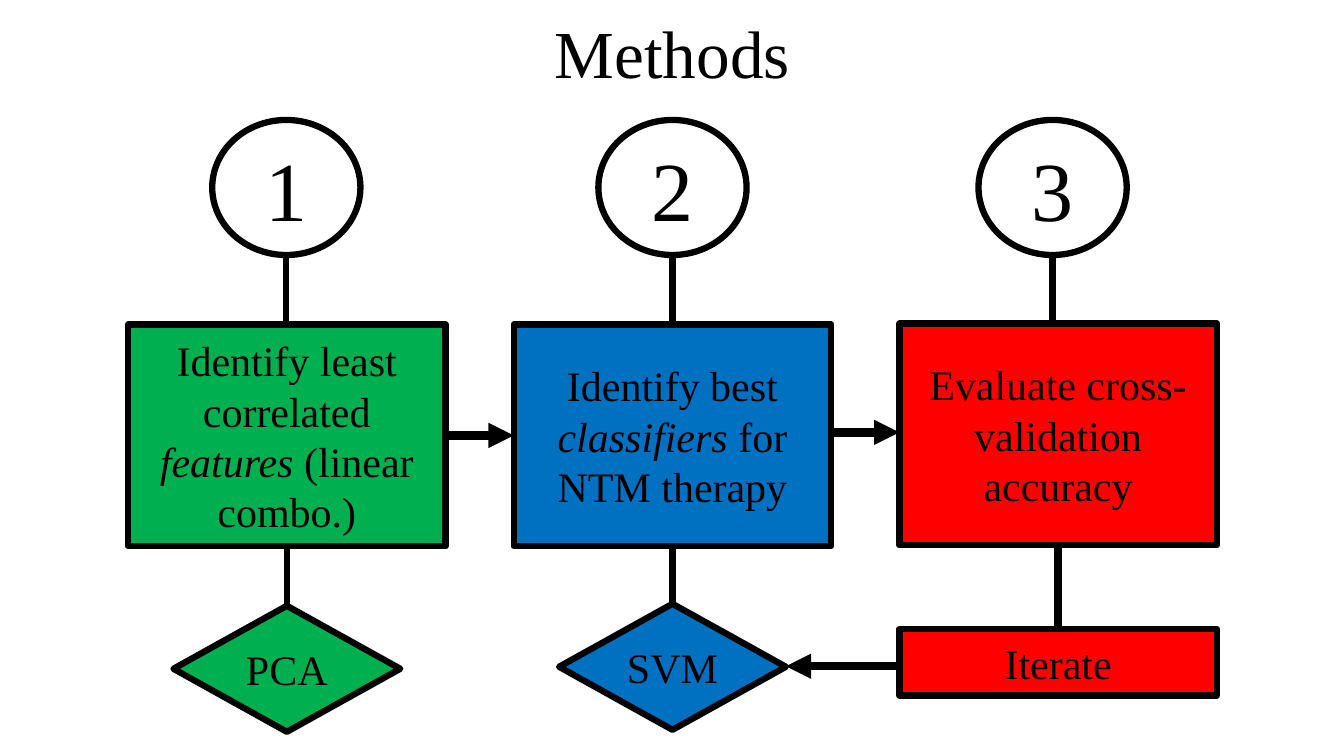
from lxml.etree import SubElement
from pptx import Presentation
from pptx.dml.color import RGBColor
from pptx.enum.shapes import MSO_CONNECTOR, MSO_SHAPE
from pptx.enum.text import MSO_ANCHOR, MSO_AUTO_SIZE, PP_ALIGN
from pptx.oxml.ns import qn
from pptx.util import Inches, Pt

TITLE = "Methods"

# Each text is a list of (words, italic) runs; lengths are in inches.
STEPS = [
    {"number": "1", "color": "green", "circle_center": 2.84, "box_top": 3.22,
     "text": [("Identify least correlated ", False), ("features", True),
              (" (linear combo.)", False)],
     "method": "PCA", "method_top": 6.01},
    {"number": "2", "color": "blue", "circle_center": 6.67, "box_top": 3.22,
     "text": [("Identify best ", False), ("classifiers", True),
              (" for NTM therapy", False)],
     "method": "SVM", "method_top": 5.99},
    {"number": "3", "color": "red", "circle_center": 10.44, "box_top": 3.21,
     "text": [("Evaluate cross-validation accuracy", False)]},
]
LOOP_TEXT = "Iterate"

THEME = {
    "font": "Times New Roman",
    "ink": RGBColor(0, 0, 0),
    "white": RGBColor(255, 255, 255),
    "green": RGBColor(0x00, 0xB0, 0x50),
    "blue": RGBColor(0x00, 0x70, 0xC0),
    "red": RGBColor(0xFF, 0x00, 0x00),
    "title_size": 48, "number_size": 60, "text_size": 30,
    "thin": 4.5, "thick": 6,
}

CIRCLE_SIZE, CIRCLE_TOP = (1.47, 1.34), 1.19
BOX_SIZE, FIRST_BOX_LEFT, BOX_PITCH = (3.15, 2.2), 1.27, 3.825
DIAMOND_SIZE = (2.25, 1.25)
LOOP_SIZE, LOOP_TOP, LOOP_ARROW_Y = (3.15, 0.66), 6.24, 6.61
ARROW_HEIGHTS = [4.32, 4.29]


def write(frame, runs, size):
    para = frame.paragraphs[0]
    para.alignment = PP_ALIGN.CENTER
    for words, italic in runs:
        span = para.add_run()
        span.text = words
        span.font.name = THEME["font"]
        span.font.size = Pt(size)
        span.font.italic = italic
        span.font.color.rgb = THEME["ink"]


def add_node(page, kind, center, top, size, color, runs, text_size):
    """Add an outlined shape centred horizontally on the given x."""
    width, height = size
    node = page.shapes.add_shape(kind, Inches(center - width / 2), Inches(top),
                                 Inches(width), Inches(height))
    node.shadow.inherit = False
    node.fill.solid()
    node.fill.fore_color.rgb = THEME[color]
    node.line.color.rgb = THEME["ink"]
    node.line.width = Pt(THEME["thin"])
    node.text_frame.word_wrap = True
    node.text_frame.vertical_anchor = MSO_ANCHOR.MIDDLE
    write(node.text_frame, runs, text_size)


def add_link(page, start, end, weight="thin", arrow=False):
    link = page.shapes.add_connector(MSO_CONNECTOR.STRAIGHT,
                                     *map(Inches, (*start, *end)))
    link.line.color.rgb = THEME["ink"]
    link.line.width = Pt(THEME[weight])
    if arrow:
        SubElement(link.line._get_or_add_ln(), qn("a:tailEnd"), type="triangle")
    SubElement(link._element.spPr, qn("a:effectLst"))


def add_title(page):
    title = page.shapes.title
    title.left, title.top = Inches(5.39), Inches(0.06)
    title.width, title.height = Inches(2.56), Inches(0.91)
    frame = title.text_frame
    frame.auto_size = MSO_AUTO_SIZE.NONE
    frame.word_wrap = False
    frame.vertical_anchor = MSO_ANCHOR.TOP
    write(frame, [(TITLE, False)], THEME["title_size"])


def add_links(page, centers):
    for step, center in zip(STEPS, centers):
        circle_x, box_top = step["circle_center"], step["box_top"]
        add_link(page, (circle_x, CIRCLE_TOP + CIRCLE_SIZE[1]), (circle_x, box_top))
        box_bottom = box_top + BOX_SIZE[1]
        if "method" in step:
            add_link(page, (center, box_bottom), (center, step["method_top"]))
        else:
            add_link(page, (center, box_bottom), (center, LOOP_ARROW_Y), "thick")
    half = BOX_SIZE[0] / 2
    for left, right, height in zip(centers, centers[1:], ARROW_HEIGHTS):
        add_link(page, (left + half, height), (right - half, height), "thick", True)
    add_link(page, (centers[2], LOOP_ARROW_Y),
             (centers[1] + DIAMOND_SIZE[0] / 2, LOOP_ARROW_Y), "thick", True)


def add_nodes(page, centers):
    text_size = THEME["text_size"]
    for step, center in zip(STEPS, centers):
        color = step["color"]
        add_node(page, MSO_SHAPE.OVAL, step["circle_center"], CIRCLE_TOP, CIRCLE_SIZE,
                 "white", [(step["number"], False)], THEME["number_size"])
        add_node(page, MSO_SHAPE.RECTANGLE, center, step["box_top"], BOX_SIZE,
                 color, step["text"], text_size)
        if "method" in step:
            add_node(page, MSO_SHAPE.DIAMOND, center, step["method_top"], DIAMOND_SIZE,
                     color, [(step["method"], False)], text_size)
    add_node(page, MSO_SHAPE.RECTANGLE, centers[2], LOOP_TOP, LOOP_SIZE,
             "red", [(LOOP_TEXT, False)], text_size)


def main():
    deck = Presentation()
    deck.slide_width, deck.slide_height = Inches(13.33), Inches(7.5)
    page = deck.slides.add_slide(deck.slide_layouts[5])
    centers = [FIRST_BOX_LEFT + BOX_SIZE[0] / 2 + BOX_PITCH * column
               for column in range(len(STEPS))]
    add_title(page)
    add_links(page, centers)
    add_nodes(page, centers)
    deck.save("out.pptx")


if __name__ == "__main__":
    main()
